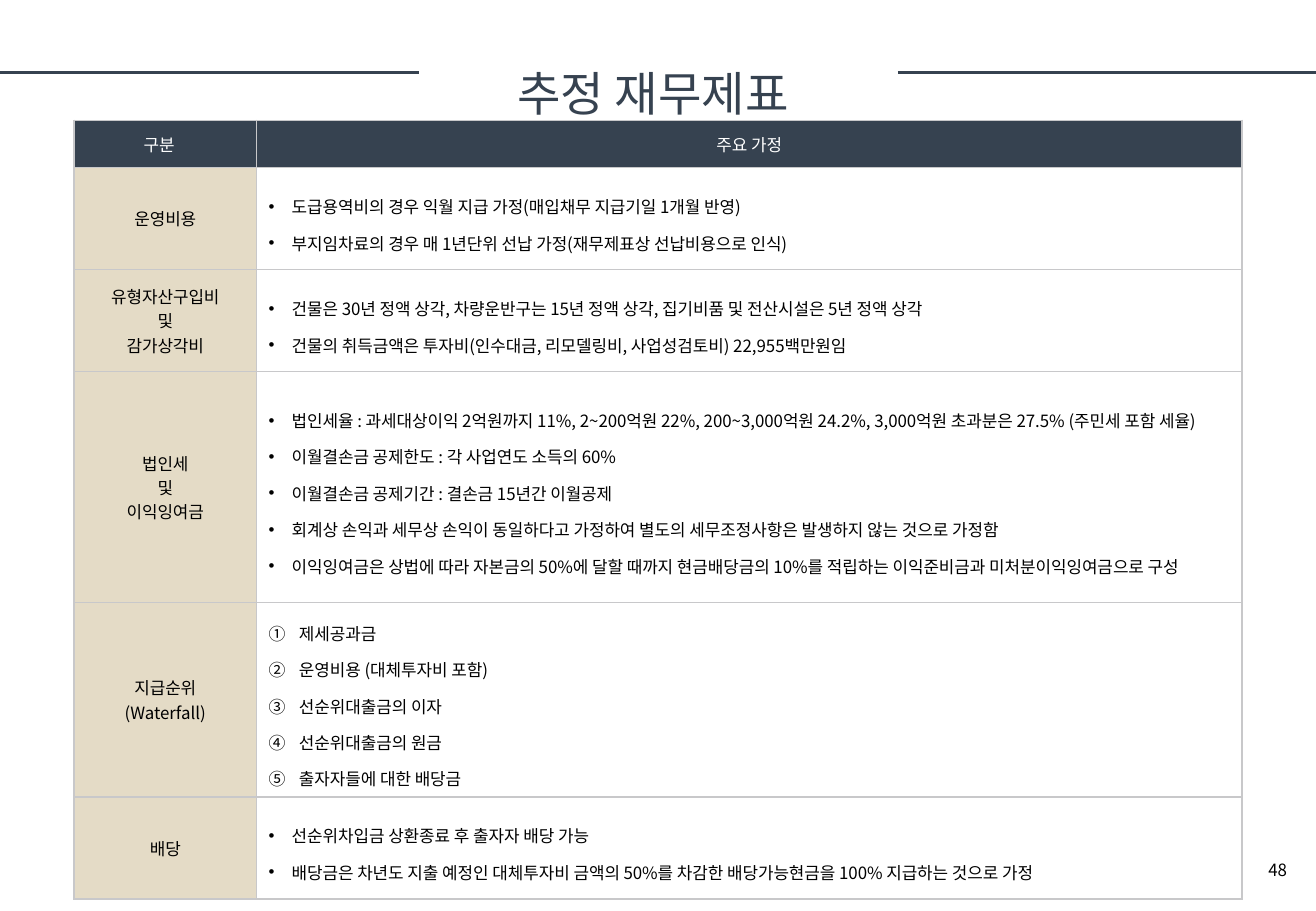
import pptx
import pptx.dml.color
import pptx.enum.shapes
import pptx.enum.text
import pptx.oxml.ns
import pptx.util
from lxml import etree

PX = 9144  # 100 px to the inch
FONT = "Noto Sans CJK KR"
NAVY, SAND, GREY, BLACK, WHITE = "364250", "E4DBC6", "C8C8CA", "000000", "FFFFFF"
ALIGN = pptx.enum.text.PP_ALIGN
MIDDLE = pptx.enum.text.MSO_ANCHOR.MIDDLE

HEADER = ("구분", "주요 가정")
# Label lines, numbered list or not, items, row height
ROWS = [
    (["운영비용"], False, [
        "도급용역비의 경우 익월 지급 가정(매입채무 지급기일 1개월 반영)",
        "부지임차료의 경우 매 1년단위 선납 가정(재무제표상 선납비용으로 인식)",
    ], 84),
    (["유형자산구입비", "및", "감가상각비"], False, [
        "건물은 30년 정액 상각, 차량운반구는 15년 정액 상각, 집기비품 및 전산시설은 5년 정액 상각",
        "건물의 취득금액은 투자비(인수대금, 리모델링비, 사업성검토비) 22,955백만원임",
    ], 84),
    (["법인세", "및", "이익잉여금"], False, [
        "법인세율 : 과세대상이익 2억원까지 11%, 2~200억원 22%, 200~3,000억원 24.2%, "
        "3,000억원 초과분은 27.5% (주민세 포함 세율)",
        "이월결손금 공제한도 : 각 사업연도 소득의 60%",
        "이월결손금 공제기간 : 결손금 15년간 이월공제",
        "회계상 손익과 세무상 손익이 동일하다고 가정하여 별도의 세무조정사항은 발생하지 않는 것으로 가정함",
        "이익잉여금은 상법에 따라 자본금의 50%에 달할 때까지 현금배당금의 10%를 적립하는 "
        "이익준비금과 미처분이익잉여금으로 구성",
    ], 158),
    (["지급순위", "(Waterfall)"], True, [
        "제세공과금",
        "운영비용 (대체투자비 포함)",
        "선순위대출금의 이자",
        "선순위대출금의 원금",
        "출자자들에 대한 배당금",
    ], 142),
    (["배당"], False, [
        "선순위차입금 상환종료 후 출자자 배당 가능",
        "배당금은 차년도 지출 예정인 대체투자비 금액의 50%를 차감한 배당가능현금을 100% 지급하는 것으로 가정",
    ], 84),
]


def px(length):
    return pptx.util.Emu(length * PX)


def color(value):
    return pptx.dml.color.RGBColor.from_string(value)


def add_element(parent, tag, **attributes):
    return etree.SubElement(parent, pptx.oxml.ns.qn(tag), attributes)


def write(text_frame, lines, size, text_color, align, spacing=None):
    text_frame.text = "\n".join(lines)
    for paragraph in text_frame.paragraphs:
        paragraph.alignment = align
        paragraph.line_spacing = spacing
        for run in paragraph.runs:
            run.font.size = pptx.util.Pt(size)
            run.font.name = FONT
            run.font.color.rgb = color(text_color)
            add_element(run.font._element, "a:ea", typeface=FONT)


def add_bullets(text_frame, numbered):
    indent = px(25 if numbered else 19)
    for paragraph in text_frame.paragraphs:
        properties = paragraph._p.get_or_add_pPr()
        properties.set("marL", str(indent))
        properties.set("indent", str(-indent))
        if numbered:
            add_element(properties, "a:buFont", typeface="+mj-ea")
            add_element(properties, "a:buAutoNum", type="circleNumDbPlain")
        else:
            add_element(properties, "a:buFont", typeface="Arial")
            add_element(properties, "a:buChar", char="•")


def style_cell(cell, fill):
    cell.vertical_anchor = MIDDLE
    properties = cell._tc.get_or_add_tcPr()
    for side in ("a:lnL", "a:lnR", "a:lnT", "a:lnB"):
        line = add_element(properties, side, w=str(pptx.util.Pt(1)))
        line_fill = add_element(line, "a:solidFill")
        add_element(line_fill, "a:srgbClr", val=GREY)
    if fill:
        cell.fill.solid()
        cell.fill.fore_color.rgb = color(fill)
    else:
        cell.fill.background()


def add_text_box(slide, left, top, width, height):
    shape = slide.shapes.add_textbox(px(left), px(top), px(width), px(height))
    shape.text_frame.word_wrap = True
    return shape.text_frame


def add_rules(slide, left, top, width):
    # Rules on both sides of the title
    for start, end in ((left, left + 345), (left + 739, left + width)):
        connector = slide.shapes.add_connector(
            pptx.enum.shapes.MSO_CONNECTOR.STRAIGHT, px(start), px(top), px(end), px(top))
        connector.line.color.rgb = color(NAVY)
        connector.line.width = pptx.util.Pt(1.75)
        add_element(connector._element.spPr, "a:effectLst")


def add_title(slide, left, top, width, height):
    text_frame = add_text_box(slide, left, top, width, height)
    text_frame.auto_size = pptx.enum.text.MSO_AUTO_SIZE.SHAPE_TO_FIT_TEXT
    write(text_frame, ["추정 재무제표"], 28, NAVY, ALIGN.JUSTIFY, 2.0)


def add_page_number(slide, left, top, width, height):
    text_frame = add_text_box(slide, left, top, width, height)
    text_frame.vertical_anchor = MIDDLE
    write(text_frame, ["48"], 10, BLACK, ALIGN.RIGHT)


def add_assumptions(slide, left, top, width):
    label_width, header_height = 150, 39
    heights = [header_height] + [row[3] for row in ROWS]
    table = slide.shapes.add_table(
        len(heights), 2, px(left), px(top), px(width), px(sum(heights))).table
    table.first_row = table.horz_banding = False
    table.columns[0].width = px(label_width)
    table.columns[1].width = px(width - label_width)
    for row, height in zip(table.rows, heights):
        row.height = px(height)

    # Header row
    for column, text in enumerate(HEADER):
        cell = table.cell(0, column)
        style_cell(cell, NAVY)
        write(cell.text_frame, [text], 10, WHITE, ALIGN.CENTER)
    table.cell(0, 0).margin_left = 0

    # Label and list in each body row
    for index, (label, numbered, items, _) in enumerate(ROWS, 1):
        label_cell, list_cell = table.cell(index, 0), table.cell(index, 1)
        style_cell(label_cell, SAND)
        style_cell(list_cell, None)
        write(label_cell.text_frame, label, 10, BLACK, ALIGN.CENTER)
        write(list_cell.text_frame, items, 10, BLACK, ALIGN.LEFT, 1.5)
        add_bullets(list_cell.text_frame, numbered)


def main():
    presentation = pptx.Presentation()
    presentation.slide_width, presentation.slide_height = px(1083), px(750)
    slide = presentation.slides.add_slide(presentation.slide_layouts[6])
    add_rules(slide, 0, 60, 1083)
    add_assumptions(slide, 61, 99, 961)
    add_page_number(slide, 825, 696, 244, 40)
    add_title(slide, 416, 1, 393, 93)
    presentation.save("out.pptx")


if __name__ == "__main__":
    main()
